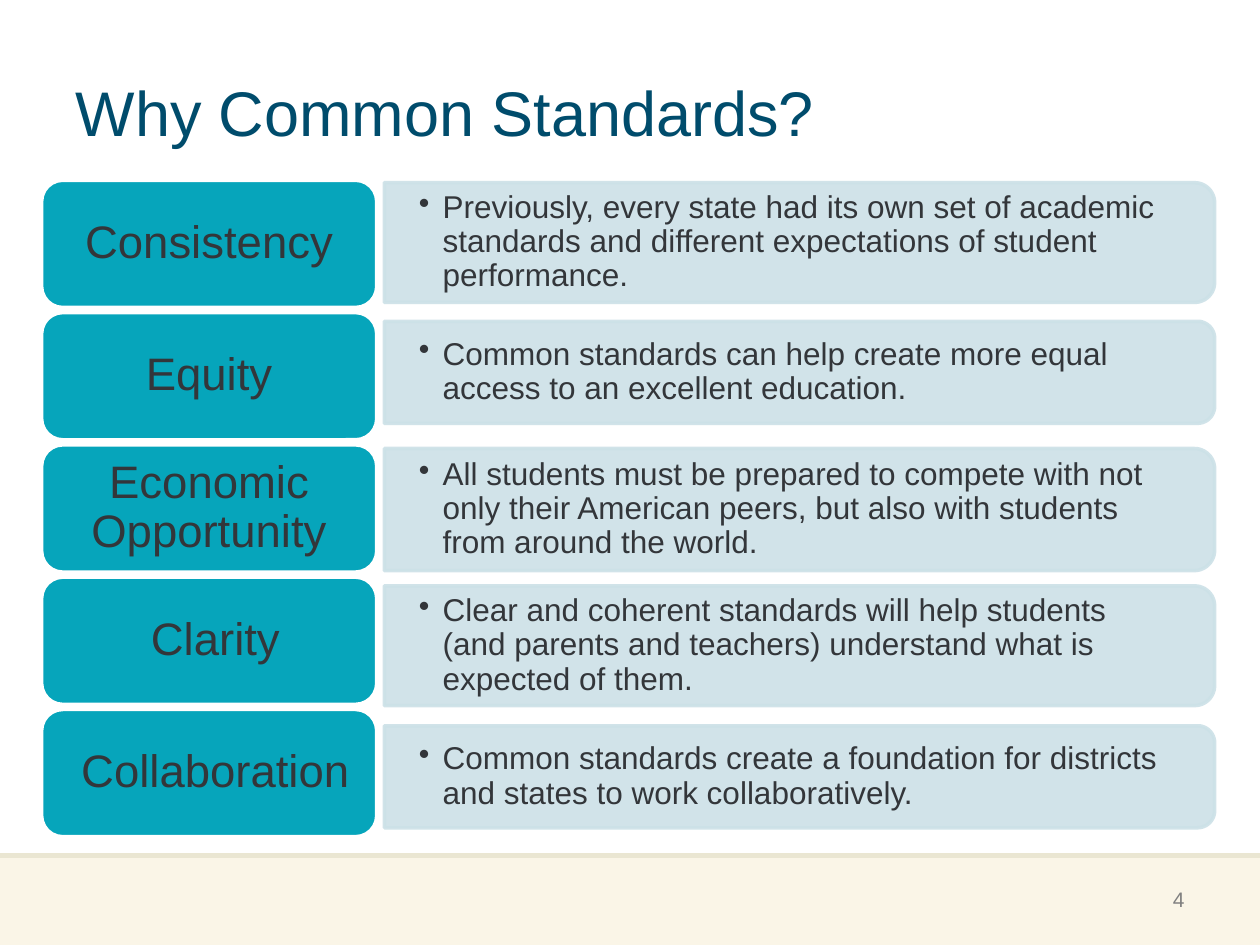
from math import cos, pi, sin

from lxml import etree
from pptx import Presentation
from pptx.dml.color import RGBColor
from pptx.enum.shapes import MSO_CONNECTOR, MSO_SHAPE
from pptx.enum.text import MSO_ANCHOR, PP_ALIGN
from pptx.oxml.ns import qn
from pptx.util import Pt

MIDDLE = MSO_ANCHOR.MIDDLE
LEFT, CENTER, RIGHT = PP_ALIGN.LEFT, PP_ALIGN.CENTER, PP_ALIGN.RIGHT

NAVY = RGBColor(0x00, 0x4C, 0x6C)
TEAL = RGBColor(0x06, 0xA5, 0xBB)
PALE_BLUE = RGBColor(0xCC, 0xE1, 0xE7)
INK = RGBColor(0x33, 0x36, 0x3A)
GRAY = RGBColor(0x80, 0x80, 0x80)
CREAM = RGBColor(0xFA, 0xF5, 0xE7)
SAND = RGBColor(0xEA, 0xE6, 0xD2)
WHITE = RGBColor(0xFF, 0xFF, 0xFF)

LABEL_LEFT, LABEL_TOP, LABEL_WIDTH, LABEL_HEIGHT = 23.8, 103, 191.5, 72.7
ROW_PITCH = 75.6
DETAIL_LEFT, DETAIL_RIGHT = 219.6, 694.1
CORNER = 1 / 6
ARC_STEPS = 12
FOOTER_TOP = 488.9

# label, extra left margin of the label, top and height of the detail, detail
ROWS = [
    ("Consistency", 0, 104.4, 68.4,
     "Previously, every state had its own set of academic standards and "
     "different expectations of student performance."),
    ("Equity", 0, 183.6, 58.3,
     "Common standards can help create more equal access to an excellent "
     "education."),
    ("Economic Opportunity", 0, 256.3, 69.8,
     "All students must be prepared to compete with not only their American "
     "peers, but also with students from around the world."),
    ("Clarity", 7.2, 334.8, 68.4,
     "Clear and coherent standards will help students (and parents and "
     "teachers) understand what is expected of them."),
    ("Collaboration", 7.2, 414.7, 58.3,
     "Common standards create a foundation for districts and states to work "
     "collaboratively."),
]


def write_text(shape, text, size, color, alignment, margins, bullet=False):
    """Fill a shape with one paragraph; margins are left, top, right, bottom."""
    frame = shape.text_frame
    frame.word_wrap = True
    frame.vertical_anchor = MIDDLE
    (frame.margin_left, frame.margin_top,
     frame.margin_right, frame.margin_bottom) = [Pt(m) for m in margins]
    para = frame.paragraphs[0]
    para.text = text
    para.alignment = alignment
    para.line_spacing = 0.9
    if bullet:
        properties = para._p.get_or_add_pPr()
        properties.set("marL", str(Pt(13.5)))
        properties.set("indent", str(Pt(-13.5)))
        etree.SubElement(properties, qn("a:buChar"), char="•")
    para.font.name = "Arial"
    para.font.size = Pt(size)
    para.font.color.rgb = color


def paint(shape, fill, line):
    shape.shadow.inherit = False
    shape.fill.solid()
    shape.fill.fore_color.rgb = fill
    shape.line.color.rgb = line
    shape.line.width = Pt(2)


deck = Presentation()
deck.slide_width, deck.slide_height = Pt(720), Pt(540)
page = deck.slides.add_slide(deck.slide_layouts[5])
shapes = page.shapes

# Footer
band = shapes.add_shape(MSO_SHAPE.RECTANGLE, 0, Pt(FOOTER_TOP),
                        Pt(720), Pt(540 - FOOTER_TOP))
paint(band, CREAM, CREAM)
band.line.fill.background()
rule = shapes.add_connector(MSO_CONNECTOR.STRAIGHT, 0, Pt(FOOTER_TOP),
                            Pt(720), Pt(FOOTER_TOP))
rule.line.color.rgb = SAND
rule.line.width = Pt(3)
etree.SubElement(rule._element.spPr, qn("a:effectLst"))
page_number = shapes.add_textbox(Pt(600), Pt(500.5), Pt(84), Pt(28.8))
write_text(page_number, "4", 12, GRAY, RIGHT, (7.2, 3.6, 7.2, 3.6))

# Title
title = shapes.title
title.left, title.top, title.width, title.height = Pt(36), Pt(21.6), Pt(648), Pt(90)
write_text(title, "Why Common Standards?", 36, NAVY, LEFT, (7.2, 3.6, 7.2, 3.6))

# Reasons: a detail panel rounded on its right side, and a label
for row, (name, extra_margin, top, height, detail) in enumerate(ROWS):
    radius = height * CORNER
    bottom = top + height
    outline = [(DETAIL_LEFT, top)]
    for center_y, start in ((top + radius, -pi / 2), (bottom - radius, 0)):
        for step in range(ARC_STEPS + 1):
            angle = start + step / ARC_STEPS * pi / 2
            outline.append((DETAIL_RIGHT - radius + radius * cos(angle),
                            center_y + radius * sin(angle)))
    outline.append((DETAIL_LEFT, bottom))
    points = [(Pt(x), Pt(y)) for x, y in outline]
    builder = shapes.build_freeform(*points[0])
    builder.add_line_segments(points[1:], close=True)
    panel = builder.convert_to_shape()
    paint(panel, PALE_BLUE, PALE_BLUE)
    for color in panel._element.spPr.iter(qn("a:srgbClr")):
        etree.SubElement(color, qn("a:alpha"), val="90000")
    write_text(panel, detail, 18, INK, LEFT, (19.8, 12.6, 22.7, 12.6), bullet=True)

    label = shapes.add_shape(MSO_SHAPE.ROUNDED_RECTANGLE, Pt(LABEL_LEFT),
                             Pt(LABEL_TOP + row * ROW_PITCH),
                             Pt(LABEL_WIDTH), Pt(LABEL_HEIGHT))
    label.adjustments[0] = CORNER
    paint(label, TEAL, WHITE)
    write_text(label, name, 26, INK, CENTER, (8 + extra_margin, 3.6, 8, 3.6))

deck.save("out.pptx")
